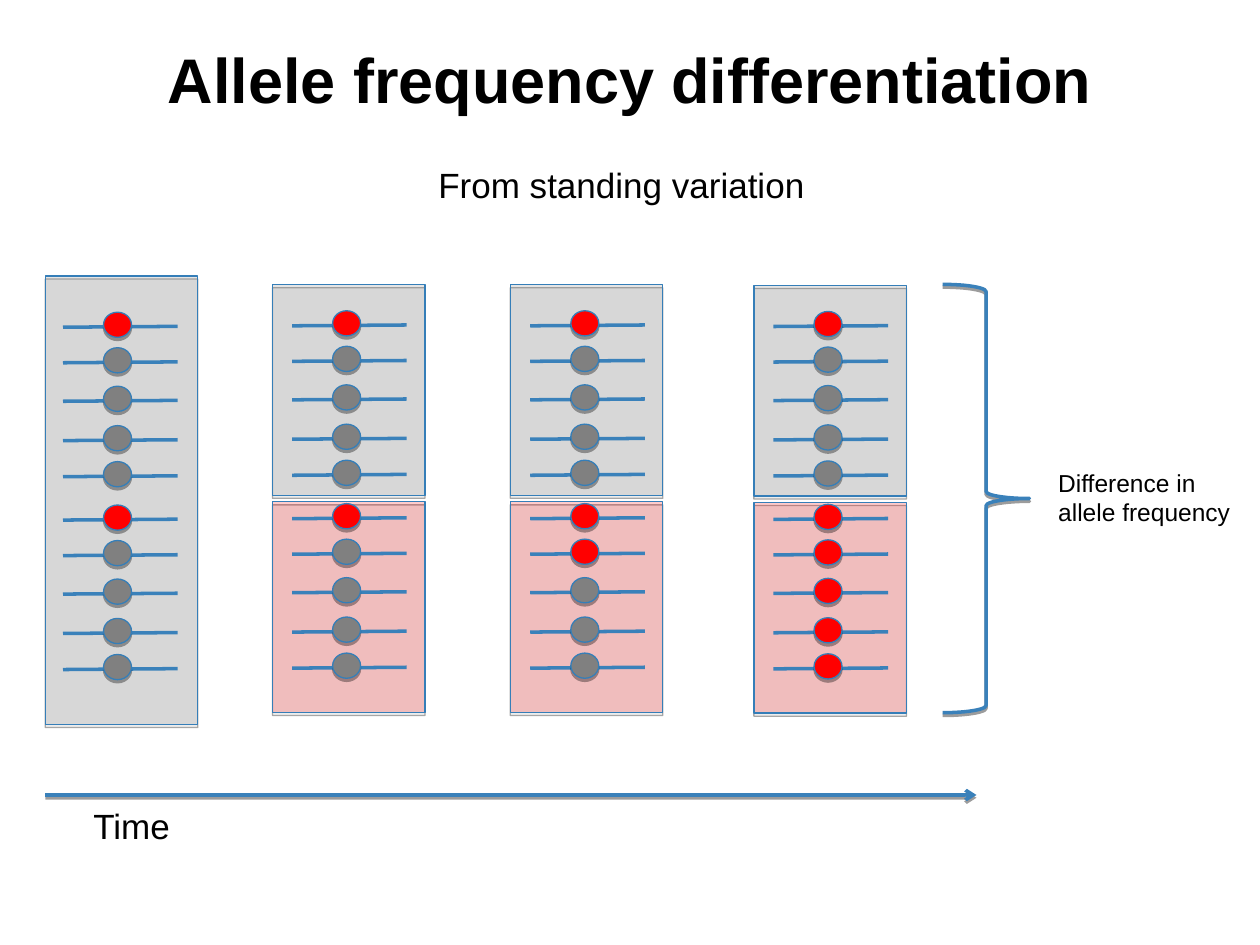
from lxml.etree import SubElement as Sub
from pptx import Presentation
from pptx.dml.color import RGBColor as RGB
from pptx.enum.shapes import MSO_CONNECTOR as CONN, MSO_SHAPE as SHAPE
from pptx.enum.text import MSO_ANCHOR as ANCHOR, PP_ALIGN as ALIGN
from pptx.oxml.ns import qn
from pptx.util import Pt

COLORS = {"text": "000000", "edge": "357EB8", "line": "3A81BA",
          "grey": "808080", "red": "FF0000", "shadow": "000000"}

# Circle tops of one group of five; the second group repeats it lower down
GROUP = [177.6, 197.9, 219.9, 242.4, 263]
ROWS = GROUP + [y + 110.2 for y in GROUP]
PANEL_W = 87.2

# Panel left, line left, downward shift, rows with the red allele
POPULATIONS = [
    (25.9, 36, 0.8, {0, 5}),
    (155.7, 166.9, 0, {0, 5}),
    (291.6, 303, 0, {0, 5, 6}),
    (430.8, 442, 0.4, {0, 5, 6, 7, 8, 9}),
]


def color(name):
    return RGB.from_string(COLORS[name])


def add_shadow(effects, dist, alpha):
    shadow = Sub(effects, qn("a:outerShdw"), blurRad="0", dist=str(Pt(dist)),
                 dir="5400000", rotWithShape="0")
    clr = Sub(shadow, qn("a:srgbClr"), val=COLORS["shadow"])
    Sub(clr, qn("a:alpha"), val=str(alpha * 1000))


def add_shape(s, kind, x, y, w, h, fill=None, opacity=100, edge="edge", width=0.75,
              shadow=(1.8, 35)):
    sp = s.shapes.add_shape(kind, Pt(x), Pt(y), Pt(w), Pt(h))
    if fill:
        sp.fill.solid()
        sp.fill.fore_color.rgb = color(fill)
        if opacity < 100:
            clr = sp.element.spPr.find(qn("a:solidFill"))[0]
            Sub(clr, qn("a:alpha"), val=str(opacity * 1000))
    else:
        sp.fill.background()
    sp.line.color.rgb = color(edge)
    sp.line.width = Pt(width)
    sp.shadow.inherit = False
    add_shadow(sp.element.spPr.find(qn("a:effectLst")), *shadow)
    return sp


def add_line(s, x1, y1, x2, y2, arrow=False):
    line = s.shapes.add_connector(CONN.STRAIGHT, Pt(x1), Pt(y1), Pt(x2), Pt(y2))
    line.line.color.rgb = color("line")
    line.line.width = Pt(2)
    spPr = line.element.spPr
    effects = Sub(spPr, qn("a:effectLst"))
    if arrow:
        Sub(spPr.find(qn("a:ln")), qn("a:tailEnd"), type="arrow")
        add_shadow(effects, 1.6, 38)


def add_text(s, text, x, y, w, h, size=20, bold=False, align=ALIGN.LEFT,
             anchor=ANCHOR.TOP):
    tf = s.shapes.add_textbox(Pt(x), Pt(y), Pt(w), Pt(h)).text_frame
    tf.word_wrap = True
    tf.vertical_anchor = anchor
    tf.text = text
    for p in tf.paragraphs:
        p.alignment = align
        p.font.name = "Arial"
        p.font.size = Pt(size)
        p.font.bold = bold
        p.font.color.rgb = color("text")


def add_panel(s, x, y, h, fill):
    add_shape(s, SHAPE.RECTANGLE, x, y, PANEL_W, h, fill, opacity=20)


def add_alleles(s, x, shift, red_rows):
    for i, row in enumerate(ROWS):
        y = row + shift
        add_line(s, x, y + 8.6, x + 65.5, y + 8.1)
        add_shape(s, SHAPE.OVAL, x + 23.2, y, 16, 14.4, "red" if i in red_rows else "grey")


def main():
    prs = Presentation()
    prs.slide_width, prs.slide_height = Pt(720), Pt(540)
    s = prs.slides.add_slide(prs.slide_layouts[6])

    # Headings
    add_text(s, "Allele frequency differentiation", 36, 0, 648, 90, size=36, bold=True,
             align=ALIGN.CENTER, anchor=ANCHOR.MIDDLE)
    add_text(s, "From standing variation", 243.4, 90, 230, 31)

    # Ancestral population, then three split ones
    for i, (panel_x, line_x, shift, red_rows) in enumerate(POPULATIONS):
        if i == 0:
            add_panel(s, panel_x, 157.7, 256.3, "grey")
        else:
            add_panel(s, panel_x, 162.6 + shift, 120.4, "grey")
            add_panel(s, panel_x, 286.7 + shift, 120.4, "red")
        add_alleles(s, line_x, shift, red_rows)

    # Brace with its label
    brace = add_shape(s, SHAPE.RIGHT_BRACE, 538.6, 162.5, 49.7, 244.8,
                      edge="line", width=2, shadow=(1.6, 38))
    brace.adjustments[0] = 0.083
    brace.adjustments[1] = 0.5
    add_text(s, "Difference in\nallele frequency", 597.6, 263.7, 120, 41, size=14)

    # Time axis
    add_line(s, 25.9, 454.3, 558, 454.3, arrow=True)
    add_text(s, "Time", 46.3, 456.3, 66, 31)

    prs.save("out.pptx")


if __name__ == "__main__":
    main()
